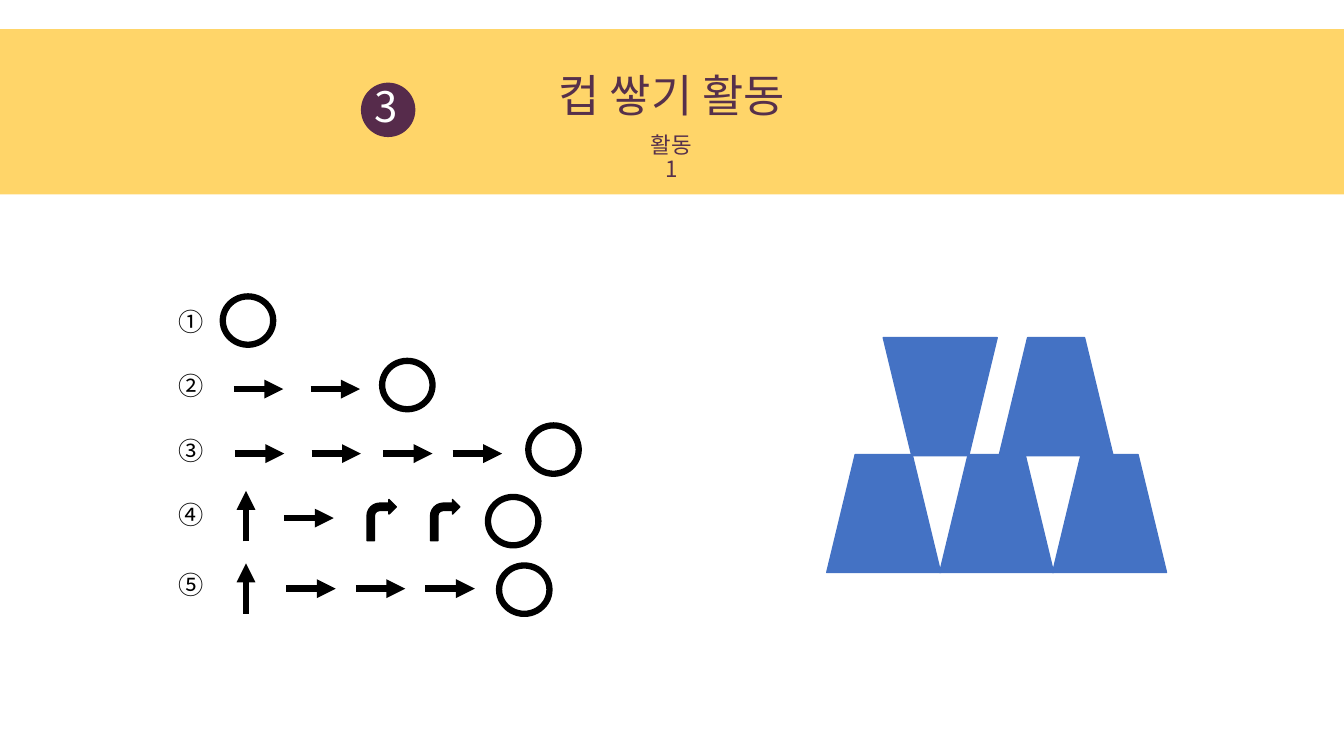
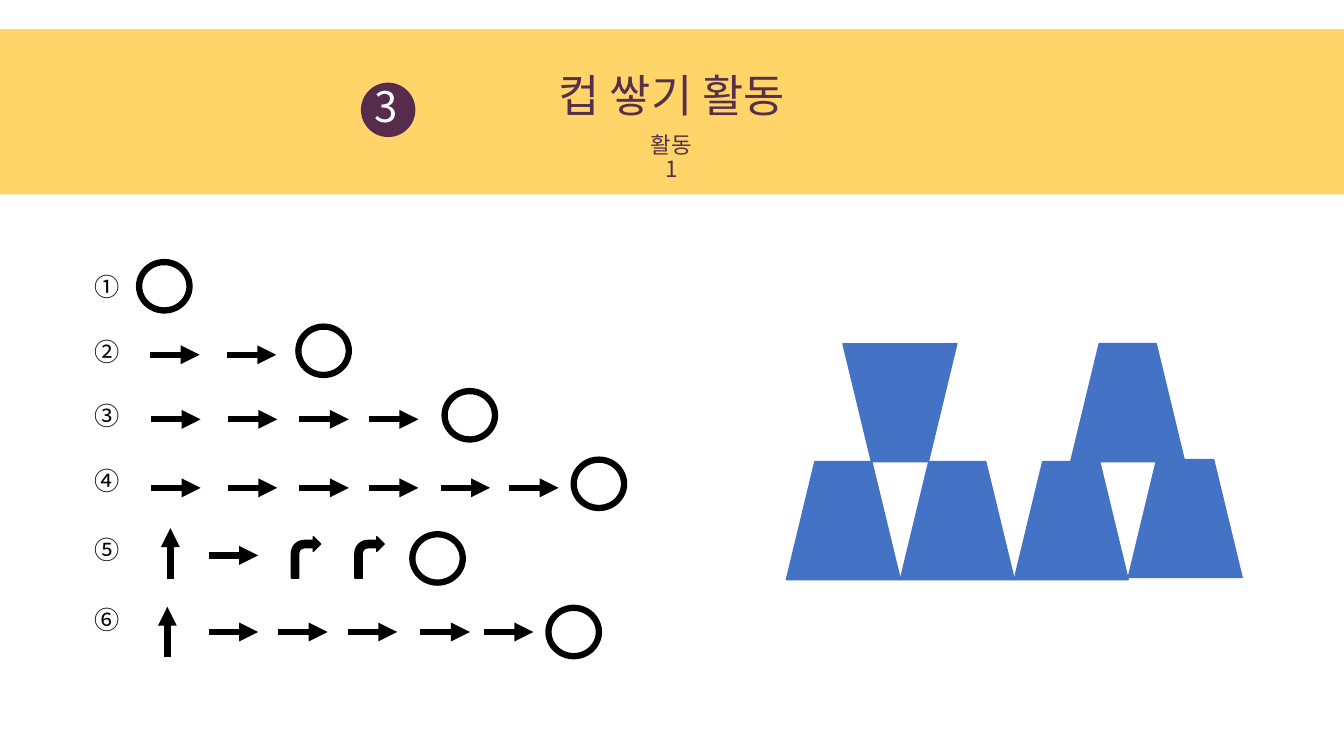
import dataclasses

import lxml.etree
import pptx
import pptx.dml.color
import pptx.enum.shapes
import pptx.enum.text
import pptx.oxml.ns
import pptx.util

Inches = pptx.util.Inches
Pt = pptx.util.Pt
ShapeType = pptx.enum.shapes.MSO_SHAPE
Align = pptx.enum.text.PP_ALIGN


@dataclasses.dataclass(frozen=True)
class Theme:
    font: str = "Noto Sans CJK KR"
    band: str = "FFD569"
    badge: str = "562B4B"
    heading: str = "56304B"
    cup: str = "4472C4"
    ink: str = "000000"
    paper: str = "FFFFFF"
    badge_size: int = 30
    title_size: int = 32
    subtitle_size: int = 16
    step_size: int = 18
    thin_line: float = 1
    thick_line: float = 4.5
    line_spacing: float = 0.9


def rgb(color):
    return pptx.dml.color.RGBColor.from_string(color)


def apply_format(target, values):
    for name, value in values.items():
        setattr(target, name, value)


def add_xml(parent, tag, **attributes):
    return lxml.etree.SubElement(parent, pptx.oxml.ns.qn(tag), **attributes)


class ActivityDeck:
    ARROW_LENGTH = 0.49
    LIFT_LENGTH = 0.5
    CIRCLE_SIZE = (0.5, 0.48)
    TURN_SIZE = (0.29, 0.41)
    CUP_SIZE = (1.13, 1.17)

    def __init__(self, theme):
        self.theme = theme
        self.presentation = pptx.Presentation()
        apply_format(self.presentation, {
            "slide_width": Inches(13.33), "slide_height": Inches(7.5)})
        self.slide = None

    # Basic elements
    def add_shape(self, kind, left, top, width, height, fill, line=None, line_width=1):
        shape = self.slide.shapes.add_shape(
            kind, Inches(left), Inches(top), Inches(width), Inches(height))
        shape.shadow.inherit = False
        shape.fill.solid()
        shape.fill.fore_color.rgb = rgb(fill)
        if line:
            shape.line.color.rgb = rgb(line)
            shape.line.width = Pt(line_width)
        else:
            shape.line.fill.background()
        return shape

    def add_text(self, text, left, top, width, height, size, color,
                 align=Align.LEFT, inset=(0, 0)):
        box = self.slide.shapes.add_textbox(
            Inches(left), Inches(top), Inches(width), Inches(height))
        side, edge = (Inches(value) for value in inset)
        frame = box.text_frame
        apply_format(frame, {
            "word_wrap": True, "margin_left": side, "margin_right": side,
            "margin_top": edge, "margin_bottom": edge})
        paragraph = frame.paragraphs[0]
        apply_format(paragraph, {
            "alignment": align, "line_spacing": self.theme.line_spacing})
        run = paragraph.add_run()
        run.text = text
        apply_format(run.font, {"size": Pt(size), "name": self.theme.font})
        run.font.color.rgb = rgb(color)
        add_xml(run.font._element, "a:ea", typeface=self.theme.font)

    def add_arrow(self, start, end):
        connector = self.slide.shapes.add_connector(
            pptx.enum.shapes.MSO_CONNECTOR.STRAIGHT,
            *(Inches(value) for value in (*start, *end)))
        connector.line.color.rgb = rgb(self.theme.ink)
        connector.line.width = Pt(self.theme.thick_line)
        add_xml(connector.line._get_or_add_ln(), "a:tailEnd", type="triangle")
        add_xml(connector._element.spPr, "a:effectLst")

    # Step symbols, each centred vertically on y
    def add_right(self, x, y):
        self.add_arrow((x, y), (x + self.ARROW_LENGTH, y))

    def add_up(self, x, y):
        half = self.LIFT_LENGTH / 2
        self.add_arrow((x, y + half), (x, y - half))

    def add_turn(self, x, y):
        width, height = self.TURN_SIZE
        self.add_shape(ShapeType.BENT_ARROW, x, y - height / 2, width, height,
                       self.theme.ink, self.theme.ink, self.theme.thin_line)

    def add_circle(self, x, y):
        width, height = self.CIRCLE_SIZE
        self.add_shape(ShapeType.FLOWCHART_CONNECTOR, x, y - height / 2, width, height,
                       self.theme.paper, self.theme.ink, self.theme.thick_line)

    # Slide parts
    def add_slide(self):
        theme = self.theme
        self.slide = self.presentation.slides.add_slide(self.presentation.slide_layouts[6])
        self.add_shape(ShapeType.RECTANGLE, 0, 0.29, 13.33, 1.64, theme.band)
        self.add_shape(ShapeType.OVAL, 3.58, 0.82, 0.54, 0.54, theme.badge)
        self.add_text("3", 3.71, 0.86, 0.26, 0.5, theme.badge_size, theme.paper)
        self.add_text("컵 쌓기 활동", 4.68, 0.73, 3.97, 0.54,
                      theme.title_size, theme.heading, Align.CENTER)
        self.add_text("활동1", 6.41, 1.33, 0.5, 0.54,
                      theme.subtitle_size, theme.heading, Align.CENTER)

    def add_cups(self, cups):
        for left, top, inverted in cups:
            cup = self.add_shape(ShapeType.TRAPEZOID, left, top, *self.CUP_SIZE,
                                 self.theme.cup, self.theme.cup, self.theme.thin_line)
            cup.rotation = 180 if inverted else 0

    def add_steps(self, left, top, steps):
        draw = {"right": self.add_right, "up": self.add_up,
                "turn": self.add_turn, "circle": self.add_circle}
        for number, offset, symbols in zip("①②③④⑤⑥", STEP_OFFSETS, steps):
            row_top = top + offset
            self.add_text(number, left, row_top, 0.42, 0.4, self.theme.step_size,
                          self.theme.ink, inset=(0.1, 0.05))
            for kind, drop, positions in symbols:
                for position in positions:
                    draw[kind](left + position, row_top + drop)


# Row offsets below the first step
STEP_OFFSETS = (0, 0.64, 1.28, 1.92, 2.61, 3.3)

# Symbols of a step: kind, drop of the centre below the row top, left offsets
OPENING_STEPS = [
    [("circle", 0.16, [0.54])],
    [("right", 0.2, [0.65, 1.41]), ("circle", 0.16, [2.12])],
    [("right", 0.2, [0.66, 1.42, 2.13, 2.82]), ("circle", 0.16, [3.57])],
]


def turning_step(shift=0, drop=0):
    step = [("up", 0.18, [0.77]), ("right", 0.2, [1.15]),
            ("turn", 0.22, [1.97, 2.6]), ("circle", 0.23, [3.17])]
    return [(kind, depth + drop, [position + shift for position in positions])
            for kind, depth, positions in step]


def main():
    deck = ActivityDeck(Theme())

    # Five cups
    deck.add_slide()
    deck.add_cups([(8.2 + 1.12 * index, 4.51, False) for index in range(3)]
                  + [(8.76, 3.35, True), (9.91, 3.35, False)])
    deck.add_steps(1.67, 3.02, OPENING_STEPS + [
        turning_step(),
        [("up", 0.21, [0.77]), ("right", 0.21, [1.17, 1.86, 2.55]),
         ("circle", 0.22, [3.28])],
    ])

    # Six cups
    deck.add_slide()
    deck.add_cups([(7.8 + 1.13 * index, 4.58, False) for index in range(3)]
                  + [(11.19, 4.56, False), (8.36, 3.41, True), (10.62, 3.41, False)])
    deck.add_steps(0.84, 2.68, OPENING_STEPS + [
        [("right", 0.24, [0.66, 1.42, 2.13, 2.82, 3.53, 4.21]),
         ("circle", 0.2, [4.85])],
        turning_step(0.08, 0.02),
        [("up", 0.29, [0.82]), ("right", 0.29, [1.23, 1.92, 2.61, 3.33, 3.96]),
         ("circle", 0.29, [4.6])],
    ])

    deck.presentation.save("out.pptx")


if __name__ == "__main__":
    main()
